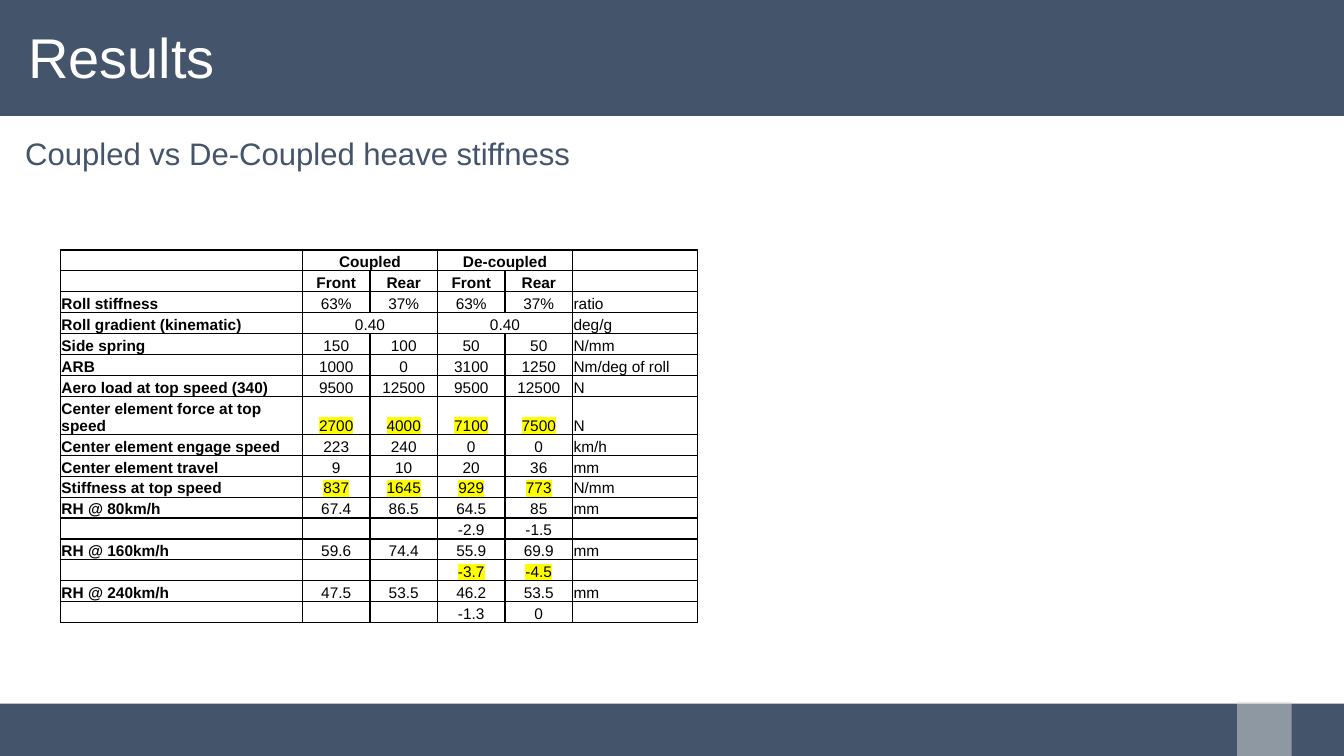
"""Build the results slide comparing coupled and de-coupled heave stiffness."""
import lxml.etree
import pptx
import pptx.dml.color
import pptx.enum.shapes
import pptx.enum.text
import pptx.oxml
import pptx.oxml.ns
import pptx.util

Inches = pptx.util.Inches
Pt = pptx.util.Pt
ALIGN = pptx.enum.text.PP_ALIGN
ANCHOR = pptx.enum.text.MSO_ANCHOR
NAMESPACE = pptx.oxml.ns.nsdecls("a")


def color(value):
    return pptx.dml.color.RGBColor.from_string(value)


def format_run(run, size, value, bold=False):
    run.font.name = "Arial"
    run.font.size = Pt(size)
    run.font.bold = bold
    run.font.color.rgb = color(value)


presentation = pptx.Presentation()
presentation.slide_width = Inches(13.33)
presentation.slide_height = Inches(7.5)
slide = presentation.slides.add_slide(presentation.slide_layouts[6])

bands = [
    (0, 0, 13.33, 1.15, "44546A", 100),
    (-0.03, 6.98, 13.36, 0.55, "44546A", 100),
    (12.27, 6.96, 0.54, 0.54, "D9DCDC", 50),
]
for left, top, width, height, fill, opacity in bands:
    band = slide.shapes.add_shape(
        pptx.enum.shapes.MSO_SHAPE.RECTANGLE,
        Inches(left), Inches(top), Inches(width), Inches(height))
    band.shadow.inherit = False
    band.fill.solid()
    band.fill.fore_color.rgb = color(fill)
    band.line.fill.background()
    if opacity < 100:
        fill_color = band.fill._xPr.find(".//" + pptx.oxml.ns.qn("a:srgbClr"))
        alpha = lxml.etree.SubElement(fill_color, pptx.oxml.ns.qn("a:alpha"))
        alpha.set("val", str(opacity * 1000))

headings = [
    ("Results", (0, 0, 13.38, 1.15), (0.28, 0.08, 0.1, 0.04), 40, "FFFFFF", 0.9),
    ("Coupled vs De-Coupled heave stiffness", (0.25, 1.36, 12.84, 0.39),
     (0, 0.04, 0, 0.04), 22.2, "44546A", 0.8),
]
for text, place, insets, size, text_color, spacing in headings:
    heading = slide.shapes.add_textbox(*[Inches(length) for length in place])
    frame = heading.text_frame
    frame.word_wrap = True
    frame.vertical_anchor = ANCHOR.MIDDLE
    (frame.margin_left, frame.margin_top,
     frame.margin_right, frame.margin_bottom) = [Inches(inset) for inset in insets]
    frame.text = text
    frame.paragraphs[0].line_spacing = spacing
    format_run(frame.paragraphs[0].runs[0], size, text_color)

rows = [
    ("", "Coupled", "", "De-coupled", "", ""),
    ("", "Front", "Rear", "Front", "Rear", ""),
    ("Roll stiffness", "63%", "37%", "63%", "37%", "ratio"),
    ("Roll gradient (kinematic)", "0.40", "", "0.40", "", "deg/g"),
    ("Side spring", "150", "100", "50", "50", "N/mm"),
    ("ARB", "1000", "0", "3100", "1250", "Nm/deg of roll"),
    ("Aero load at top speed (340)", "9500", "12500", "9500", "12500", "N"),
    ("Center element force at top speed", "2700", "4000", "7100", "7500", "N"),
    ("Center element engage speed", "223", "240", "0", "0", "km/h"),
    ("Center element travel", "9", "10", "20", "36", "mm"),
    ("Stiffness at top speed", "837", "1645", "929", "773", "N/mm"),
    ("RH @ 80km/h", "67.4", "86.5", "64.5", "85", "mm"),
    ("", "", "", "-2.9", "-1.5", ""),
    ("RH @ 160km/h", "59.6", "74.4", "55.9", "69.9", "mm"),
    ("", "", "", "-3.7", "-4.5", ""),
    ("RH @ 240km/h", "47.5", "53.5", "46.2", "53.5", "mm"),
    ("", "", "", "-1.3", "0", ""),
]
header_rows = 2
merged_rows = (0, 3)
highlighted_rows = (7, 10, 14)
value_columns = range(1, 5)
column_widths = [2.4, 0.67, 0.67, 0.67, 0.67, 1.24]

table = slide.shapes.add_table(
    len(rows), len(column_widths),
    Inches(0.6), Inches(2.48), Inches(6.32), Inches(3.53)).table
table.first_row = False
table.horz_banding = False
for column, width in zip(table.columns, column_widths):
    column.width = Inches(width)

for row_index, row in enumerate(rows):
    for column_index, text in enumerate(row):
        cell = table.cell(row_index, column_index)
        is_value = column_index in value_columns
        cell.fill.solid()
        cell.fill.fore_color.rgb = color("FFFFFF")
        cell.vertical_anchor = ANCHOR.BOTTOM
        cell.margin_left = cell.margin_top = cell.margin_right = Inches(0.01)
        cell.margin_bottom = 0
        properties = cell._tc.get_or_add_tcPr()
        for position, side in enumerate(("lnL", "lnR", "lnT", "lnB")):
            properties.insert(position, pptx.oxml.parse_xml(
                f'<a:{side} {NAMESPACE} w="12700"><a:solidFill>'
                f'<a:srgbClr val="000000"/></a:solidFill></a:{side}>'))

        cell.text_frame.text = text
        paragraph = cell.text_frame.paragraphs[0]
        paragraph.alignment = ALIGN.CENTER if is_value else ALIGN.LEFT
        for run in paragraph.runs:
            bold = row_index < header_rows or column_index == 0
            format_run(run, 11, "000000", bold)
            if is_value and row_index in highlighted_rows:
                run_fill = run.font._element.find(pptx.oxml.ns.qn("a:solidFill"))
                run_fill.addnext(pptx.oxml.parse_xml(
                    f'<a:highlight {NAMESPACE}><a:srgbClr val="FFFF00"/></a:highlight>'))
        if not text:
            paragraph._p.append(pptx.oxml.parse_xml(
                f'<a:endParaRPr {NAMESPACE} sz="1100"><a:latin typeface="Arial"/></a:endParaRPr>'))

for row_index in merged_rows:
    for column_index in (1, 3):
        table.cell(row_index, column_index).merge(table.cell(row_index, column_index + 1))

presentation.save("out.pptx")
